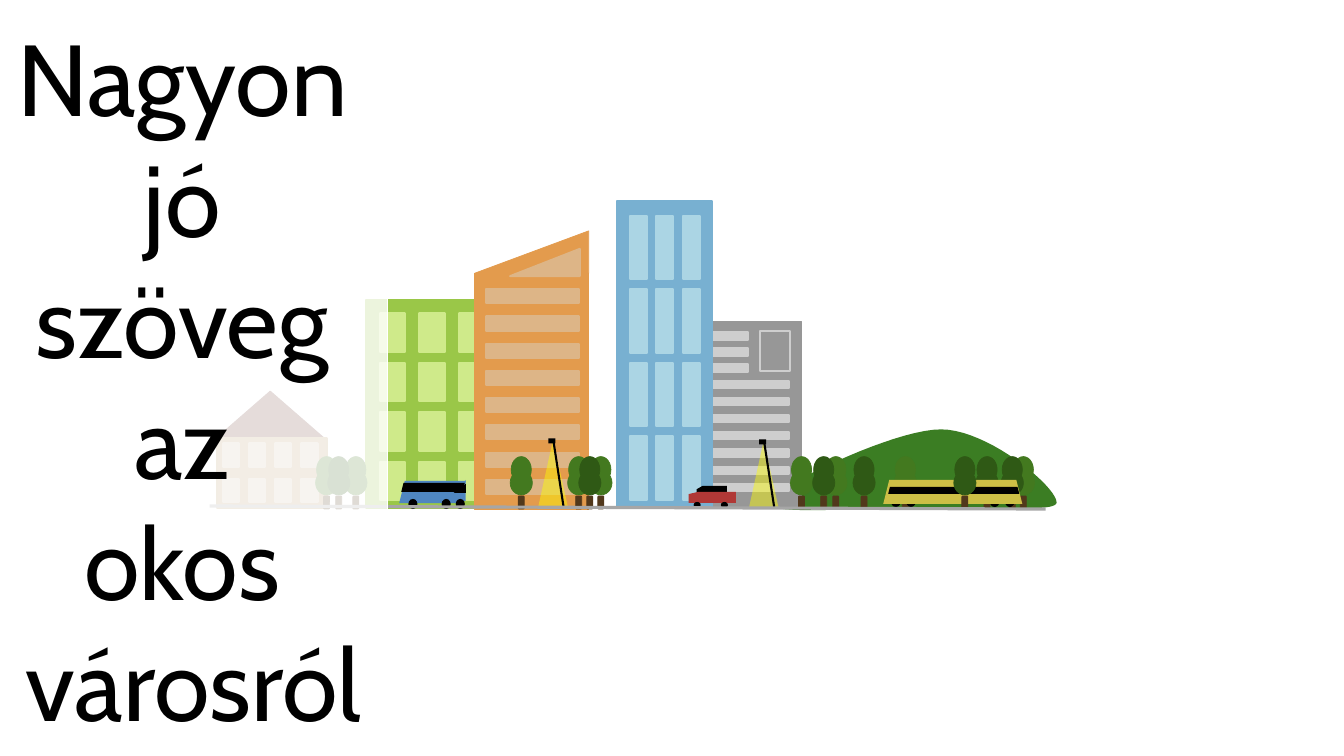
from dataclasses import dataclass
from itertools import product

from lxml import etree
from pptx import Presentation
from pptx.dml.color import RGBColor
from pptx.enum.shapes import MSO_CONNECTOR, MSO_SHAPE as Kind
from pptx.enum.text import MSO_ANCHOR, MSO_AUTO_SIZE, PP_ALIGN
from pptx.oxml.ns import qn
from pptx.util import Inches, Pt

COLORS = {
    "white": "FFFFFF", "black": "000000", "hill": "3B7D23", "road": "A6A6A6",
    "roof": "703D37", "house": "BD9C72", "house edge": "BB9E6E", "house window": "D3C6AD",
    "green": "9AC748", "green window": "CFEA8A", "orange": "E39B4D", "orange window": "DDB587",
    "grey": "979797", "grey window": "CECECE", "blue": "78B0D1", "blue window": "ABD5E4",
    "trunk": "51381B", "light leaf": "43791F", "dark leaf": "2F5915",
    "bus": "4F86C0", "tram": "CDBF46", "car": "B03836", "light": "FFFF00",
}


@dataclass
class Box:
    left: float
    top: float
    width: float
    height: float

    def inner(self, left, top, width, height):
        return Box(self.left + left, self.top + top, width, height)


def color(name):
    return RGBColor.from_string(COLORS[name])


def paint(shape, fill, line=None, weight=1.5, opacity=None):
    shape.shadow.inherit = False
    if fill:
        shape.fill.solid()
        shape.fill.fore_color.rgb = color(fill)
    else:
        shape.fill.background()
    if opacity:
        rgb = shape._element.spPr.find(qn("a:solidFill")).find(qn("a:srgbClr"))
        etree.SubElement(rgb, qn("a:alpha")).set("val", str(opacity * 1000))
    if line:
        shape.line.color.rgb = color(line)
        shape.line.width = Pt(weight)
    else:
        shape.line.fill.background()


def add_part(shapes, kind, box, fill, line=None, mirrored=False, **style):
    shape = shapes.add_shape(kind, Inches(box.left), Inches(box.top),
                             Inches(box.width), Inches(box.height))
    paint(shape, fill, line, **style)
    if mirrored:
        shape._element.spPr.get_or_add_xfrm().set("flipH", "1")
    return shape


def add_grid(shapes, first, columns, rows, step_x, step_y, fill):
    for row, column in product(range(rows), range(columns)):
        window = first.inner(column * step_x, row * step_y, first.width, first.height)
        add_part(shapes, Kind.RECTANGLE, window, fill, fill)


def add_line(shapes, start, end, line, weight):
    connector = shapes.add_connector(MSO_CONNECTOR.STRAIGHT, *map(Inches, start + end))
    connector.line.color.rgb = color(line)
    connector.line.width = Pt(weight)
    etree.SubElement(connector._element.spPr, qn("a:effectLst"))


def write(shape, lines, size, font, ink, align):
    frame = shape.text_frame
    frame.word_wrap = True
    frame.auto_size = MSO_AUTO_SIZE.SHAPE_TO_FIT_TEXT
    frame.vertical_anchor = MSO_ANCHOR.MIDDLE
    for index, line in enumerate(lines):
        paragraph = frame.add_paragraph() if index else frame.paragraphs[0]
        paragraph.alignment = align
        run = paragraph.add_run()
        run.text = line
        run.font.size = Pt(size)
        run.font.name = font
        run.font.color.rgb = color(ink)


def add_hill(shapes, box):
    # Bezier curves as fractions of the box: two controls and an end point each
    start = (0, 0.91)
    curves = [((0.01, 0.76), (0.43, 0), (0.6, 0)),
              ((0.76, 0), (1, 0.72), (1, 0.92)),
              ((0.99, 1.03), (0.7, 0.96), (0.54, 0.96)),
              ((0.37, 0.96), (-0.01, 1.08), (0, 0.91))]
    points = [start]
    for first, second, end in curves:
        for step in range(1, 21):
            t = step / 20
            weights = ((1 - t) ** 3, 3 * t * (1 - t) ** 2, 3 * t * t * (1 - t), t ** 3)
            corners = (start, first, second, end)
            points.append(tuple(sum(w * corner[axis] for w, corner in zip(weights, corners))
                                for axis in (0, 1)))
        start = end
    points = [(Inches(box.left + x * box.width), Inches(box.top + y * box.height))
              for x, y in points]
    builder = shapes.build_freeform(*points[0])
    builder.add_line_segments(points[1:])
    paint(builder.convert_to_shape(), "hill", "hill")


def add_house(shapes, box):
    add_part(shapes, Kind.ISOSCELES_TRIANGLE, box.inner(0, 0, 1.08, 0.47), "roof", "roof", weight=0.5)
    add_part(shapes, Kind.RECTANGLE, box.inner(0.01, 0.47, 1.09, 0.69), "house", "house edge")
    add_grid(shapes, box.inner(0.07, 0.52, 0.16, 0.23), 4, 2, 0.26, 0.35, "house window")


def add_green_block(shapes, box):
    add_part(shapes, Kind.RECTANGLE, box, "green", "green")
    add_grid(shapes, box.inner(0.14, 0.13, 0.25, 0.38), 3, 4, 0.39, 0.49, "green window")


def add_orange_block(shapes, box):
    slope = 0.42
    add_part(shapes, Kind.RIGHT_TRIANGLE, box.inner(0, 0, box.width, slope),
             "orange", "orange", mirrored=True, weight=0.5)
    add_part(shapes, Kind.RECTANGLE, box.inner(0, slope, box.width, box.height - slope),
             "orange", "orange", weight=0.5)
    add_part(shapes, Kind.RIGHT_TRIANGLE, box.inner(0.35, 0.18, 0.69, 0.27),
             "orange window", "orange window", mirrored=True)
    add_grid(shapes, box.inner(0.11, 0.58, 0.92, 0.14), 1, 8, 0, 0.27, "orange window")


def add_grey_block(shapes, box):
    add_part(shapes, Kind.RECTANGLE, box, "grey", "grey", weight=0.5)
    add_part(shapes, Kind.RECTANGLE, box.inner(0.63, 0.09, 0.3, 0.4), None, "grey window")
    add_grid(shapes, box.inner(0.06, 0.1, 0.45, 0.08), 1, 3, 0, 0.16, "grey window")
    add_grid(shapes, box.inner(0.06, 0.59, 0.86, 0.07), 1, 7, 0, 0.17, "grey window")


def add_blue_tower(shapes, box):
    add_part(shapes, Kind.RECTANGLE, box, "blue", "blue")
    add_grid(shapes, box.inner(0.13, 0.15, 0.17, 0.63), 3, 4, 0.26, 0.73, "blue window")


def add_tree(shapes, box, leaf):
    add_part(shapes, Kind.ROUNDED_RECTANGLE, box.inner(0.08, 0.39, 0.06, 0.13),
             "trunk", "trunk", weight=0.5)
    for crown in (box.inner(0, 0.14, 0.22, 0.24), box.inner(0.01, 0, 0.2, 0.26)):
        add_part(shapes, Kind.OVAL, crown, leaf, leaf, weight=0.5)


def add_bus(shapes, box):
    add_part(shapes, Kind.PARALLELOGRAM, box.inner(0, 0.01, 0.66, 0.22), "bus")
    add_part(shapes, Kind.RIGHT_TRIANGLE, box.inner(0.53, 0, 0.13, 0.21), "bus", mirrored=True)
    for wheel in (0.09, 0.42, 0.56):
        add_part(shapes, Kind.OVAL, box.inner(wheel, 0.19, 0.09, 0.1), "black")
    add_part(shapes, Kind.PARALLELOGRAM, box.inner(0.02, 0.03, 0.63, 0.09), "black")
    add_part(shapes, Kind.RIGHT_TRIANGLE, box.inner(0.54, 0.04, 0.12, 0.09), "black", mirrored=True)


def add_tram(shapes, box):
    for wheel in (0.08, 0.23, 1.06, 1.21):
        add_part(shapes, Kind.FLOWCHART_CONNECTOR, box.inner(wheel, 0.18, 0.09, 0.09), "black")
    add_part(shapes, Kind.TRAPEZOID, box.inner(0, 0, box.width, 0.24), "tram")
    add_part(shapes, Kind.TRAPEZOID, box.inner(0.05, 0.07, 1.3, 0.07), "black")


def add_car(shapes, box):
    add_part(shapes, Kind.FLOWCHART_CARD, box.inner(0.08, 0, 0.3, 0.17), "black")
    add_part(shapes, Kind.FLOWCHART_CARD, box.inner(0, 0.06, box.width, 0.11), "car")
    for wheel in (0.05, 0.32):
        add_part(shapes, Kind.OVAL, box.inner(wheel, 0.16, 0.07, 0.06), "black")


def add_lamp(shapes, box):
    add_part(shapes, Kind.ISOSCELES_TRIANGLE, box.inner(0, 0.01, box.width, 0.66),
             "light", opacity=44)
    add_line(shapes, (box.left + 0.15, box.top + 0.03), (box.left + 0.25, box.top + 0.68), "black", 1.5)
    add_part(shapes, Kind.RECTANGLE, box.inner(0.1, 0, 0.07, 0.05), "black")


def add_caption(shapes, box):
    panel = add_part(shapes, Kind.RECTANGLE, box, "white", "white", weight=0.75, opacity=82)
    write(panel, ["Nagyon ", "jó ", "szöveg ", "az ", "okos ", "városról"],
          size=72, font="Cabin", ink="black", align=PP_ALIGN.CENTER)


def trees(leaf, *lefts):
    return [(add_tree, Box(left, 4.53, 0.22, 0.52), leaf) for left in lefts]


def main():
    presentation = Presentation()
    presentation.slide_width, presentation.slide_height = Inches(13.33), Inches(7.5)
    shapes = presentation.slides.add_slide(presentation.slide_layouts[6]).shapes

    add_hill(shapes, Box(7.63, 4.27, 2.84, 0.78))

    # City, from back to front, one group each
    city = [
        (add_house, Box(2.14, 3.88, 1.1, 1.16)),
        (add_green_block, Box(3.63, 2.98, 1.31, 2.06)),
        (add_orange_block, Box(4.71, 2.29, 1.13, 2.76)),
        (add_grey_block, Box(6.91, 3.19, 1.04, 1.85)),
        (add_blue_tower, Box(6.12, 1.99, 0.94, 3.05)),
        *trees("light leaf", 8.87),
        (add_bus, Box(3.96, 4.76, 0.66, 0.29)),
        *trees("dark leaf", 9.68), *trees("light leaf", 10.04), *trees("dark leaf", 9.93),
        (add_tram, Box(8.76, 4.76, 1.38, 0.27)),
        (add_car, Box(6.83, 4.82, 0.47, 0.22)),
        *trees("light leaf", 3.13, 3.42, 5.06, 5.63, 5.85, 7.84, 8.18),
        *trees("dark leaf", 3.25, 5.74, 8.06, 8.46, 9.46),
        (add_lamp, Box(5.34, 4.35, 0.29, 0.68)),
        (add_lamp, Box(7.43, 4.36, 0.29, 0.68)),
    ]
    for draw, box, *details in city:
        draw(shapes.add_group_shape().shapes, box, *details)

    # Road and the veil with the caption
    add_line(shapes, (2.08, 5.02), (10.37, 5.05), "road", 2.25)
    add_caption(shapes, Box(0, 0, 3.84, 7.51))
    presentation.save("out.pptx")


if __name__ == "__main__":
    main()
